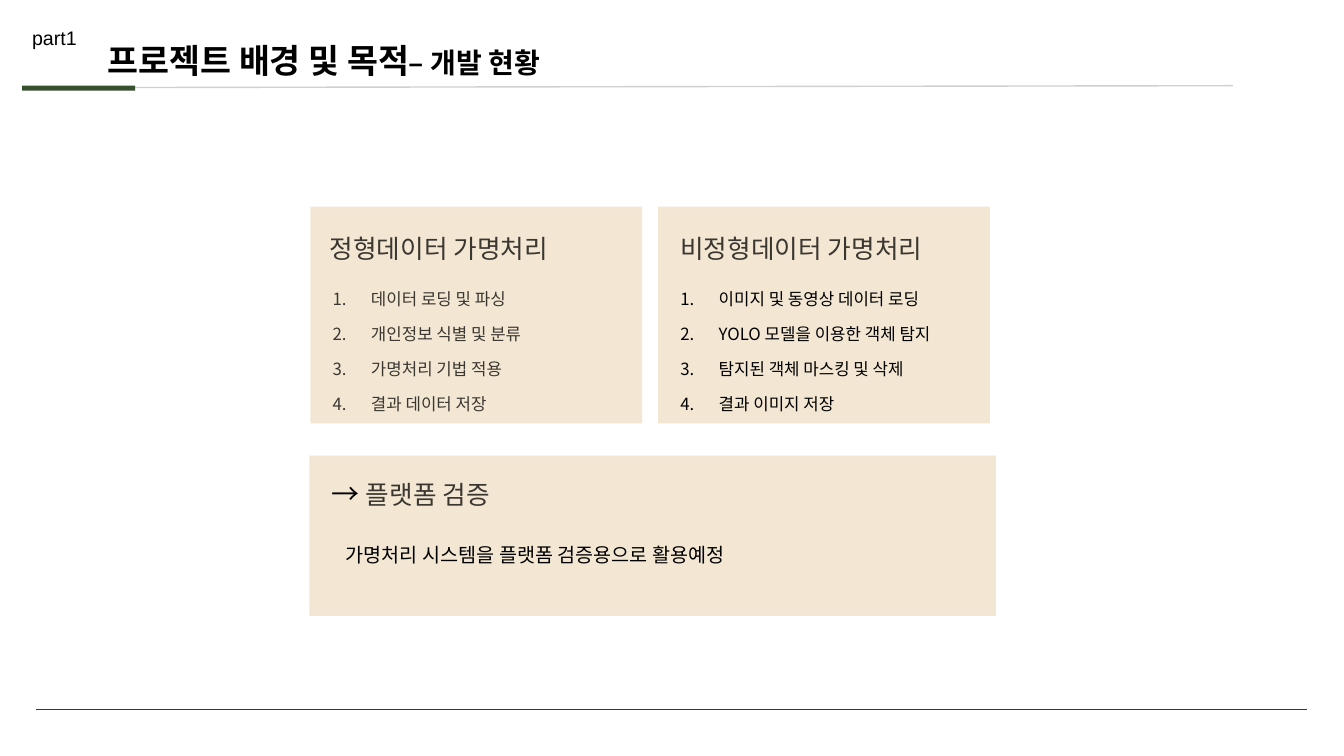
"""Build the slide on the development status of the pseudonymisation project."""
from dataclasses import dataclass

from lxml.etree import SubElement
from pptx import Presentation
from pptx.dml.color import RGBColor
from pptx.enum.shapes import MSO_CONNECTOR, MSO_SHAPE
from pptx.enum.text import MSO_AUTO_SIZE
from pptx.oxml.ns import qn
from pptx.slide import Slide
from pptx.util import Emu, Inches, Pt

BLACK = RGBColor(0x00, 0x00, 0x00)
BROWN = RGBColor(0x3A, 0x36, 0x30)
SAND = RGBColor(0xF3, 0xE7, 0xD4)
GREEN = RGBColor(0x37, 0x51, 0x2F)
DARK_GREEN = RGBColor(0x12, 0x50, 0x1B)
GREY = RGBColor(0xD0, 0xD0, 0xD0)

WIDTH, HEIGHT = Inches(13.33), Inches(7.5)
COLUMNS, ROWS = 160, 90
KOREAN_FONT = "Noto Sans CJK KR"
NUMBER_INDENT = 4.56
HEADING_SPACING, BODY_SPACING = 22.9, 25
CARD_LEFT, CARD_TOP, CARD_PITCH = 36.96, 24.6, 41.4
CARD_WIDTH, CARD_HEIGHT, CARD_PADDING = 39.48, 25.8, 2.64


@dataclass(frozen=True)
class Area:
    """Place on the grid, in columns and rows."""
    column: float
    row: float
    columns: float
    rows: float


@dataclass(frozen=True)
class Style:
    """Look of a run of text."""
    size: float
    font: str
    color: RGBColor = BLACK
    bold: bool = False


@dataclass(frozen=True)
class Piece:
    """Run of text with its style."""
    text: str
    style: Style


@dataclass(frozen=True)
class Card:
    """Panel with a heading and numbered steps."""
    heading: str
    heading_inset: float
    steps: tuple[str, ...]
    step_style: Style


HEADING = Style(18.3, "Cambria", BROWN)
CARDS = (
    Card("정형데이터 가명처리", 2.28,
         ("데이터 로딩 및 파싱", "개인정보 식별 및 분류", "가명처리 기법 적용", "결과 데이터 저장"),
         Style(12, "Open Sans", BROWN)),
    Card("비정형데이터 가명처리", CARD_PADDING,
         ("이미지 및 동영상 데이터 로딩", "YOLO 모델을 이용한 객체 탐지",
          "탐지된 객체 마스킹 및 삭제", "결과 이미지 저장"),
         Style(12, KOREAN_FONT)),
)


def across(columns: float) -> Emu:
    """Turn columns into a length."""
    return Emu(round(WIDTH * columns / COLUMNS))


def down(rows: float) -> Emu:
    """Turn rows into a length."""
    return Emu(round(HEIGHT * rows / ROWS))


def bounds(area: Area) -> tuple[Emu, Emu, Emu, Emu]:
    """Give left, top, width and height of an area."""
    return across(area.column), down(area.row), across(area.columns), down(area.rows)


def draw_panel(slide: Slide, area: Area, color: RGBColor, kind: MSO_SHAPE) -> None:
    """Draw a flat filled panel with square corners."""
    panel = slide.shapes.add_shape(kind, *bounds(area))
    if len(panel.adjustments):
        panel.adjustments[0] = 0
    panel.fill.solid()
    panel.fill.fore_color.rgb = color
    panel.line.fill.background()
    panel.shadow.inherit = False


def draw_rule(slide: Slide, area: Area, color: RGBColor, weight: float) -> None:
    """Draw a line across an area, from its left top to its right bottom."""
    left, top, width, height = bounds(area)
    rule = slide.shapes.add_connector(
        MSO_CONNECTOR.STRAIGHT, left, top, left + width, top + height)
    rule.line.color.rgb = color
    rule.line.width = Pt(weight)
    SubElement(rule.element.spPr, qn("a:effectLst"))


def write(slide: Slide, area: Area, paragraphs: list[list[Piece]],
          spacing: float | None = None, numbered: bool = False) -> None:
    """Write paragraphs; those with fixed spacing have no margins."""
    frame = slide.shapes.add_textbox(*bounds(area)).text_frame
    frame.word_wrap = True
    if spacing is None:
        frame.auto_size = MSO_AUTO_SIZE.SHAPE_TO_FIT_TEXT
    else:
        frame.margin_left = frame.margin_right = 0
        frame.margin_top = frame.margin_bottom = 0
    for index, pieces in enumerate(paragraphs):
        paragraph = frame.add_paragraph() if index else frame.paragraphs[0]
        if spacing is not None:
            paragraph.line_spacing = Pt(spacing)
        if numbered:
            properties = paragraph._p.get_or_add_pPr()
            properties.set("marL", str(across(NUMBER_INDENT)))
            properties.set("indent", str(-across(NUMBER_INDENT)))
            SubElement(properties, qn("a:buFont"), typeface="+mj-lt")
            SubElement(properties, qn("a:buAutoNum"), type="arabicPeriod")
        for piece in pieces:
            run = paragraph.add_run()
            run.text = piece.text
            run.font.size = Pt(piece.style.size)
            run.font.bold = piece.style.bold
            run.font.color.rgb = piece.style.color
            run.font.name = piece.style.font
            SubElement(run.font._element, qn("a:ea"), typeface=KOREAN_FONT)


def draw_card(slide: Slide, card: Card, left: float) -> None:
    """Draw one card with its heading and steps."""
    draw_panel(slide, Area(left, CARD_TOP, CARD_WIDTH, CARD_HEIGHT), SAND,
               MSO_SHAPE.ROUNDED_RECTANGLE)
    write(slide, Area(left + CARD_PADDING, CARD_TOP + 8.04, 34.32, 16.8),
          [[Piece(step, card.step_style)] for step in card.steps], BODY_SPACING, numbered=True)
    write(slide, Area(left + card.heading_inset, CARD_TOP + 2.94, 30.84, 3.84),
          [[Piece(card.heading, HEADING)]], HEADING_SPACING)


def main() -> None:
    """Build and save the presentation."""
    presentation = Presentation()
    presentation.slide_width, presentation.slide_height = WIDTH, HEIGHT
    slide = presentation.slides.add_slide(presentation.slide_layouts[6])

    draw_rule(slide, Area(5.4, 10.44, 141.36, -0.24), GREY, 1)
    draw_panel(slide, Area(2.64, 10.2, 13.44, 0.6), GREEN, MSO_SHAPE.RECTANGLE)
    draw_rule(slide, Area(4.32, 84.48, 151.32, 0), DARK_GREEN, 0.75)
    write(slide, Area(2.64, 2.52, 10.32, 4.08), [[Piece("part1", Style(14, "Arial"))]])
    write(slide, Area(11.64, 4.2, 81, 6),
          [[Piece("프로젝트 배경 및 목적", Style(24, "Arial", bold=True)),
            Piece("– 개발 현황", Style(20, "Arial", bold=True))]])

    draw_panel(slide, Area(36.84, 54.24, 81.72, 19.08), SAND, MSO_SHAPE.ROUNDED_RECTANGLE)
    write(slide, Area(39.48, 56.88, 48.72, 3.84),
          [[Piece("→ ", Style(20, KOREAN_FONT)), Piece("플랫폼 검증", HEADING)]],
          HEADING_SPACING)
    write(slide, Area(41.16, 63.24, 76.44, 8.4),
          [[Piece("가명처리 시스템을 플랫폼 검증용으로 활용예정", Style(14, KOREAN_FONT))]],
          BODY_SPACING)

    for index, card in enumerate(CARDS):
        draw_card(slide, card, CARD_LEFT + index * CARD_PITCH)
    presentation.save("out.pptx")


if __name__ == "__main__":
    main()
